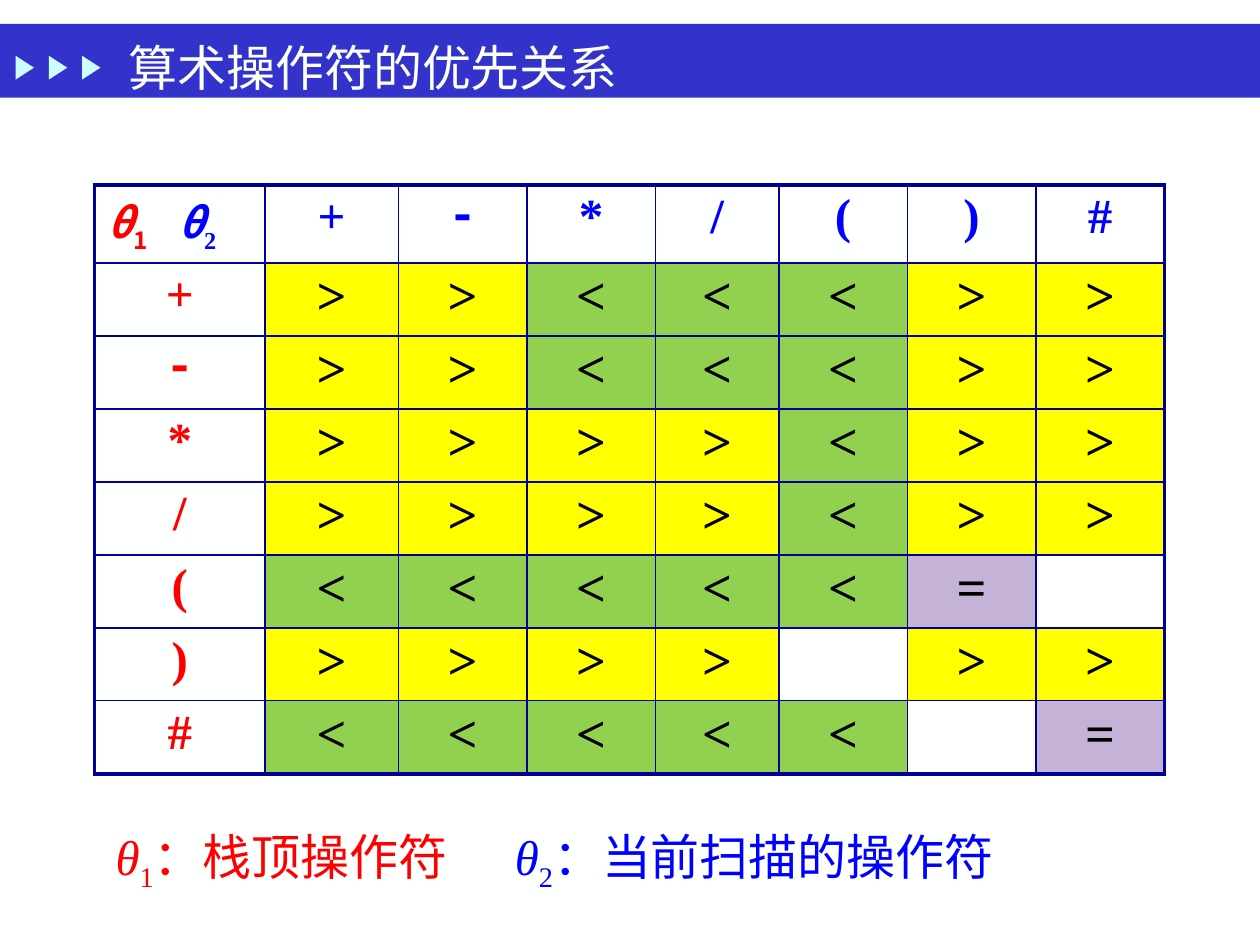
from lxml.etree import SubElement
from pptx import Presentation
from pptx.dml.color import RGBColor as RGB
from pptx.enum.shapes import MSO_SHAPE as SHAPE
from pptx.enum.text import MSO_ANCHOR as ANCHOR, PP_ALIGN as ALIGN
from pptx.oxml.ns import qn
from pptx.util import Cm, Pt

# Content
TITLE = "算术操作符的优先关系"
OPERATORS = "+-*/()#"
RELATIONS = [  # one row per stack-top operator, a dot is an empty cell
    ">><<<>>",
    ">><<<>>",
    ">>>><>>",
    ">>>><>>",
    "<<<<<=.",
    ">>>>.>>",
    "<<<<<.=",
]
SERIF, MONO, SANS = "Times New Roman", "Courier New", "Noto Sans CJK SC"
COLORS = {
    "background": "FEFFFF", "band": "3333CC", "arrow": "CBFFFF",
    "stack": "FF0000", "current": "0000FF", "text": "000000",
    "border": "000099", ">": "FFFF00", "<": "92D050", "=": "C4B3D7",
}
# Runs: text, colour name, font, italic, subscript
CORNER = [
    ("θ", "stack", SANS, True, False),
    ("1", "stack", SANS, False, True),
    ("\t", "stack", SANS, False, False),
    ("θ", "current", SANS, True, False),
    ("2", "current", SERIF, False, True),
]
LEGEND = [
    ("θ", "stack", SERIF, True, False),
    ("1", "stack", SERIF, False, True),
    ("：栈顶操作符\t", "stack", SERIF, False, False),
    ("θ", "current", SERIF, True, False),
    ("2", "current", SERIF, False, True),
    ("：当前扫描的操作符", "current", SERIF, False, False),
]

# Sizes in cm
COL_WIDTHS = [3.43, 2.69, 2.59, 2.59, 2.49, 2.59, 2.59, 2.59]
ROW_HEIGHTS = [1.57] + [1.43] * 6 + [1.48]


def color(name):
    return RGB.from_string(COLORS[name])


def add_run(p, text, name, size, font=SERIF, bold=False, italic=False, sub=False):
    r = p.add_run()
    r.text = text
    f = r.font
    f.name, f.size, f.bold, f.italic = font, Pt(size), bold, italic
    f.color.rgb = color(name)
    SubElement(f._element, qn("a:ea")).set("typeface", SANS)
    if sub:
        f._element.set("baseline", "-25000")


def add_runs(p, runs, size, tab, bold=False):
    tabs = SubElement(p._p.get_or_add_pPr(), qn("a:tabLst"))
    SubElement(tabs, qn("a:tab"), pos=str(Cm(tab)), algn="l")
    for text, name, font, italic, sub in runs:
        add_run(p, text, name, size, font, bold, italic, sub)


def add_plain(shapes, kind, x, y, w, h, name):
    sp = shapes.add_shape(kind, Cm(x), Cm(y), Cm(w), Cm(h))
    sp.shadow.inherit = False
    sp.fill.solid()
    sp.fill.fore_color.rgb = color(name)
    sp.line.fill.background()
    return sp


def add_text(s, x, y, w, h, anchor):
    tf = s.shapes.add_textbox(Cm(x), Cm(y), Cm(w), Cm(h)).text_frame
    tf.word_wrap = True
    tf.vertical_anchor = anchor
    return tf.paragraphs[0]


def set_borders(cell, outer):
    """Draw all four sides, the sides named in outer with the thick line."""
    tcPr = cell._tc.get_or_add_tcPr()
    for i, side in enumerate("LRTB"):
        width = Pt(2.25 if side in outer else 1)
        ln = SubElement(tcPr, qn("a:ln" + side), w=str(width))
        tcPr.insert(i, ln)
        fill = SubElement(ln, qn("a:solidFill"))
        SubElement(fill, qn("a:srgbClr"), val=COLORS["border"])


def fill_cell(cell, row, col):
    cell.margin_top = cell.margin_bottom = Cm(0.1)
    cell.fill.background()
    p = cell.text_frame.paragraphs[0]
    if row == col == 0:
        add_runs(p, CORNER, 24, 1.43, bold=True)
        return
    p.alignment = ALIGN.CENTER
    if row and col:
        sign = RELATIONS[row - 1][col - 1]
        if sign != ".":
            add_run(p, sign, "text", 30, bold=True)
            cell.fill.solid()
            cell.fill.fore_color.rgb = color(sign)
    else:
        sign = OPERATORS[max(row, col) - 1]
        add_run(p, sign, "stack" if row else "current", 28,
                MONO if sign == "-" else SERIF, bold=True)


def main():
    prs = Presentation()
    prs.slide_width, prs.slide_height = Cm(25.4), Cm(19.05)
    s = prs.slides.add_slide(prs.slide_layouts[6])
    s.background.fill.solid()
    s.background.fill.fore_color.rgb = color("background")

    # Title band with three arrowheads
    add_plain(s.shapes, SHAPE.RECTANGLE, 0, 0.48, 25.4, 1.49, "band")
    arrows = s.shapes.add_group_shape()
    for i in range(3):
        sp = add_plain(arrows.shapes, SHAPE.ISOSCELES_TRIANGLE,
                       0.26 + 0.67 * i, 1.18, 0.48, 0.37, "arrow")
        sp.rotation = 90
    add_run(add_text(s, 2.34, 0.71, 17.78, 1.27, ANCHOR.MIDDLE),
            TITLE, "background", 28)

    # Precedence table
    n_rows, n_cols = len(ROW_HEIGHTS), len(COL_WIDTHS)
    table = s.shapes.add_table(n_rows, n_cols, Cm(1.91), Cm(3.73),
                               Cm(sum(COL_WIDTHS)), Cm(sum(ROW_HEIGHTS))).table
    table.first_row = table.horz_banding = False
    for column, width in zip(table.columns, COL_WIDTHS):
        column.width = Cm(width)
    for i, height in enumerate(ROW_HEIGHTS):
        table.rows[i].height = Cm(height)
        for j in range(n_cols):
            cell = table.cell(i, j)
            fill_cell(cell, i, j)
            edges = {"L": j == 0, "R": j == n_cols - 1,
                     "T": i == 0, "B": i == n_rows - 1}
            set_borders(cell, [side for side in edges if edges[side]])

    # Legend
    add_runs(add_text(s, 2.08, 16.54, 18.59, 1.45, ANCHOR.TOP), LEGEND, 28, 8.05)

    prs.save("out.pptx")


if __name__ == "__main__":
    main()
